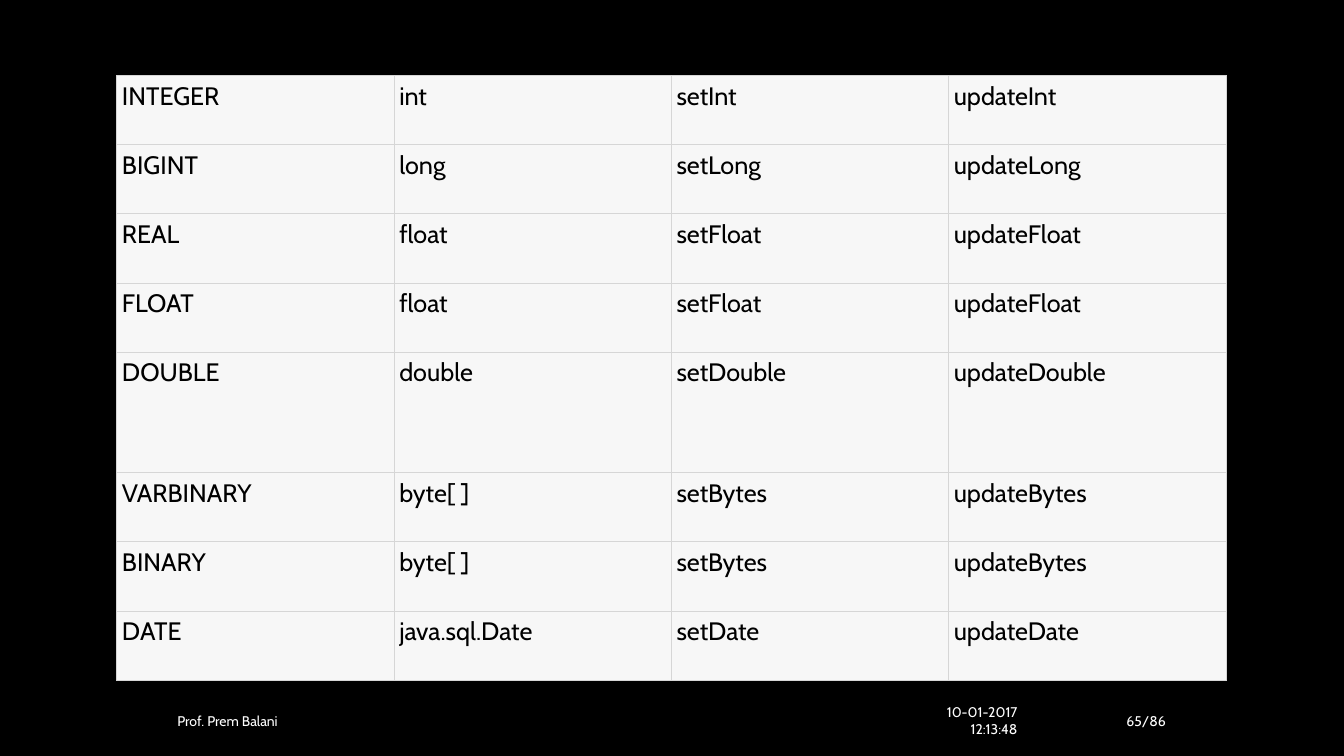
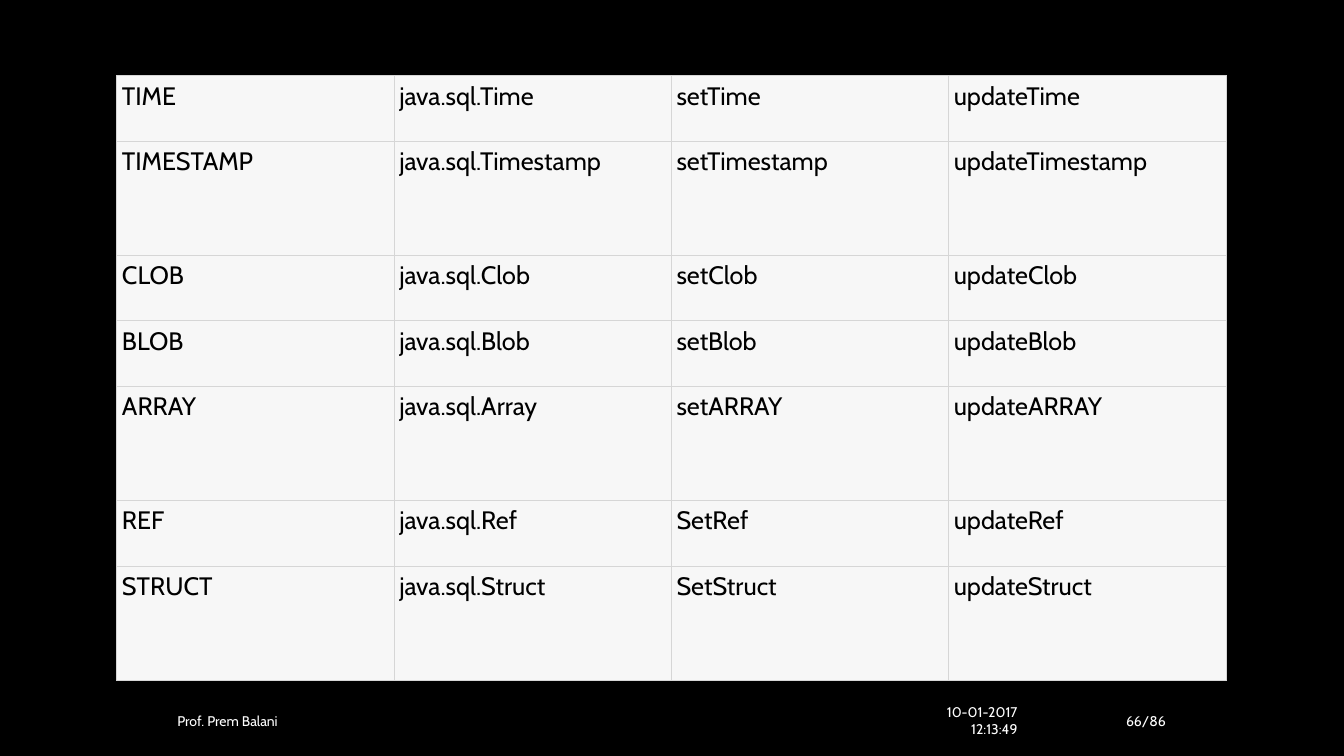
from lxml import etree
from pptx import Presentation
from pptx.dml.color import RGBColor
from pptx.enum.text import MSO_ANCHOR, PP_ALIGN
from pptx.oxml.ns import qn
from pptx.util import Inches, Pt

LEFT, RIGHT = PP_ALIGN.LEFT, PP_ALIGN.RIGHT
MIDDLE = MSO_ANCHOR.MIDDLE

FONT = "Cabin"
BLACK, WHITE = "000000", "FFFFFF"
CELL_FILL, CELL_BORDER = "F7F7F7", "D6D6D6"

# Boxes are left, top, width, height in inches.
TABLE_BOX = (1.16, 0.75, 11, 6)
NUMBER_BOX = (10.41, 7, 1.25, 0.3)
DATE_BOX = (8.83, 7, 1.36, 0.3)
AUTHOR_BOX = (1.66, 7, 6.92, 0.3)
CELL_MARGIN = 0.05
TALL_ROW = 1.74  # height of a tall row, in normal rows

AUTHOR = "Prof. Prem Balani"
PAGE_COUNT = 86

PAGES = [
    {
        "number": 65,
        "date": "10-01-2017 12:13:48",
        "tall": {"DOUBLE"},
        "rows": [
            ("INTEGER", "int", "setInt", "updateInt"),
            ("BIGINT", "long", "setLong", "updateLong"),
            ("REAL", "float", "setFloat", "updateFloat"),
            ("FLOAT", "float", "setFloat", "updateFloat"),
            ("DOUBLE", "double", "setDouble", "updateDouble"),
            ("VARBINARY", "byte[ ]", "setBytes", "updateBytes"),
            ("BINARY", "byte[ ]", "setBytes", "updateBytes"),
            ("DATE", "java.sql.Date", "setDate", "updateDate"),
        ],
    },
    {
        "number": 66,
        "date": "10-01-2017 12:13:49",
        "tall": {"TIMESTAMP", "ARRAY", "STRUCT"},
        "rows": [
            ("TIME", "java.sql.Time", "setTime", "updateTime"),
            ("TIMESTAMP", "java.sql.Timestamp", "setTimestamp", "updateTimestamp"),
            ("CLOB", "java.sql.Clob", "setClob", "updateClob"),
            ("BLOB", "java.sql.Blob", "setBlob", "updateBlob"),
            ("ARRAY", "java.sql.Array", "setARRAY", "updateARRAY"),
            ("REF", "java.sql.Ref", "SetRef", "updateRef"),
            ("STRUCT", "java.sql.Struct", "SetStruct", "updateStruct"),
        ],
    },
]


def paint(fill, color):
    fill.solid()
    fill.fore_color.rgb = RGBColor.from_string(color)


def write(frame, text, size, color, align=LEFT):
    frame.text = text
    para = frame.paragraphs[0]
    para.alignment = align
    for span in para.runs:
        span.font.name = FONT
        span.font.size = Pt(size)
        span.font.color.rgb = RGBColor.from_string(color)


def add_borders(cell):
    """Draw the four edges; they must come before the fill in the cell's XML."""
    properties = cell._tc.get_or_add_tcPr()
    for index, edge in enumerate(("a:lnL", "a:lnR", "a:lnT", "a:lnB")):
        line = etree.Element(qn(edge), w=str(Pt(0.75)))
        solid = etree.SubElement(line, qn("a:solidFill"))
        etree.SubElement(solid, qn("a:srgbClr"), val=CELL_BORDER)
        properties.insert(index, line)


def style_cell(cell, text):
    cell.margin_left = cell.margin_right = Inches(CELL_MARGIN)
    cell.margin_top = cell.margin_bottom = Inches(CELL_MARGIN)
    paint(cell.fill, CELL_FILL)
    add_borders(cell)
    write(cell.text_frame, text, 18, BLACK)


def add_type_table(page, box, rows, tall):
    """Fill the box with the rows; those whose SQL type is in tall get more height."""
    left, top, width, height = map(Inches, box)
    table = page.shapes.add_table(len(rows), len(rows[0]), left, top, width, height).table
    table.first_row = table.horz_banding = False
    shares = [TALL_ROW if row[0] in tall else 1 for row in rows]
    for row, share, texts in zip(table.rows, shares, rows):
        row.height = int(height * share / sum(shares))
        for cell, text in zip(row.cells, texts):
            style_cell(cell, text)


def add_footer_text(page, box, text, align):
    frame = page.shapes.add_textbox(*map(Inches, box)).text_frame
    frame.word_wrap = True
    frame.vertical_anchor = MIDDLE
    write(frame, text, 10, WHITE, align)


def add_footer(page, number, date):
    add_footer_text(page, NUMBER_BOX, f"{number}/{PAGE_COUNT}", RIGHT)
    add_footer_text(page, DATE_BOX, date, RIGHT)
    add_footer_text(page, AUTHOR_BOX, AUTHOR, LEFT)


def main():
    deck = Presentation()
    deck.slide_width, deck.slide_height = Inches(13.33), Inches(7.5)
    paint(deck.slide_master.background.fill, BLACK)
    for content in PAGES:
        page = deck.slides.add_slide(deck.slide_layouts[6])
        add_type_table(page, TABLE_BOX, content["rows"], content["tall"])
        add_footer(page, content["number"], content["date"])
    deck.save("out.pptx")


if __name__ == "__main__":
    main()
